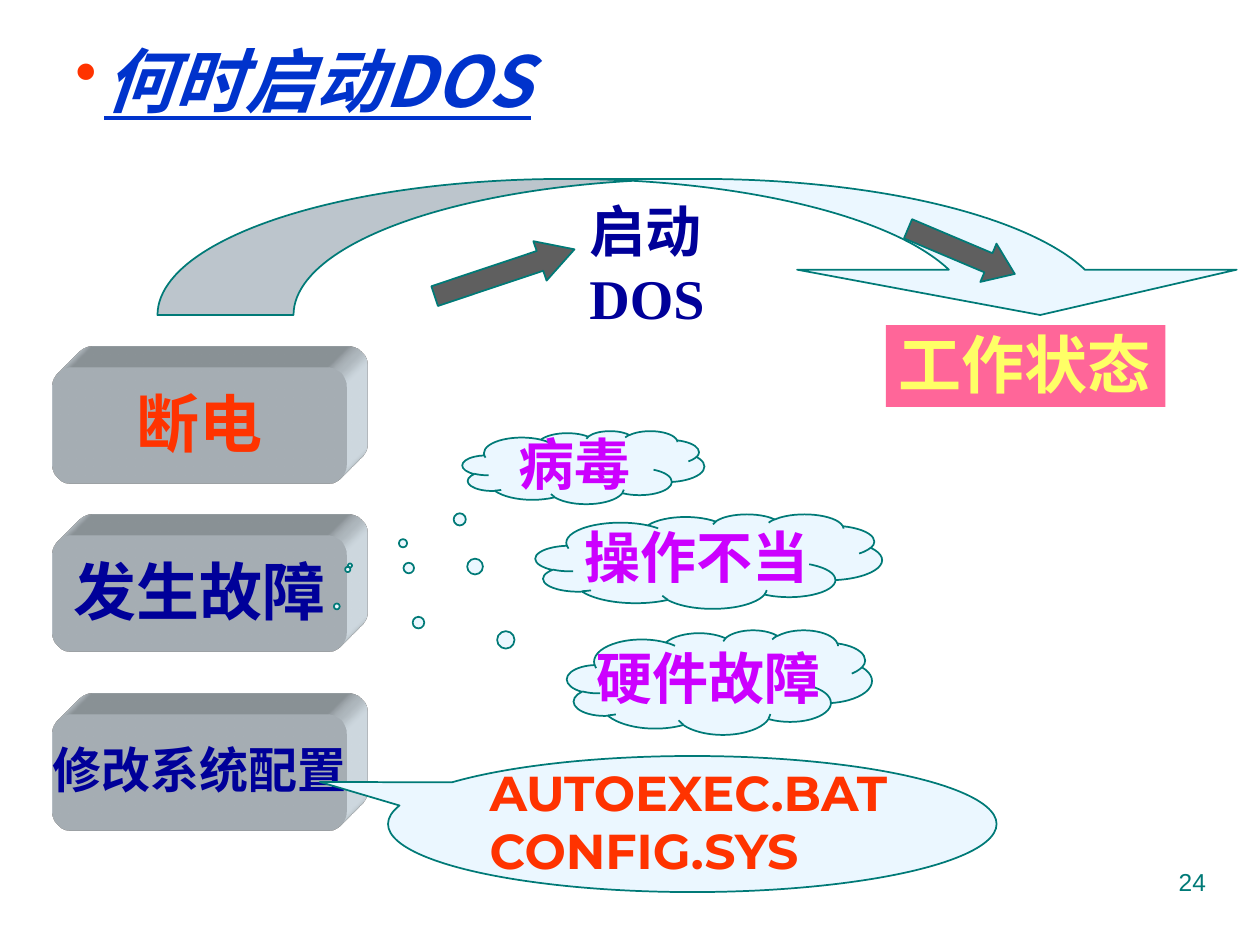
from lxml import etree
from pptx import Presentation
from pptx.dml.color import RGBColor
from pptx.enum.shapes import MSO_SHAPE as Preset
from pptx.enum.text import MSO_ANCHOR as Anchor, PP_ALIGN as Align
from pptx.oxml import parse_xml
from pptx.oxml.ns import nsdecls, qn
from pptx.util import Inches, Pt

PALE = RGBColor(0xEB, 0xF7, 0xFF)
TEAL = RGBColor(0x00, 0x7A, 0x77)
NAVY = RGBColor(0x00, 0x00, 0x99)
BLUE = RGBColor(0x00, 0x33, 0xCC)
RED = RGBColor(0xFF, 0x33, 0x00)
PURPLE = RGBColor(0xCC, 0x00, 0xFF)
PINK = RGBColor(0xFF, 0x66, 0x99)
YELLOW = RGBColor(0xFF, 0xFF, 0x66)
GRAY = RGBColor(0x5F, 0x5F, 0x5F)
SERIF = "Times New Roman"
CJK = "Noto Sans CJK SC"

SCENE = (
    '<a:scene3d {ns}><a:camera prst="legacyObliqueTopRight"/>'
    '<a:lightRig rig="legacyFlat3" dir="b"/></a:scene3d>'
)
EXTRUSION = (
    '<a:sp3d {ns} extrusionH="430200" prstMaterial="legacyMatte">'
    '<a:bevelT w="13500" h="13500" prst="angle"/>'
    '<a:bevelB w="13500" h="13500" prst="angle"/>'
    '<a:extrusionClr><a:srgbClr val="{color}"/></a:extrusionClr></a:sp3d>'
)


def write(holder, text, size=32, color=NAVY, font=SERIF, bold=True, italic=False,
          underline=False, align=Align.LEFT, anchor=Anchor.TOP, top=0, wrap=False):
    frame = holder.text_frame
    frame.word_wrap = wrap
    frame.vertical_anchor = anchor
    frame.margin_top = Inches(top)
    frame.text = text
    for paragraph in frame.paragraphs:
        paragraph.alignment = align
        for run in paragraph.runs:
            style = run.font
            style.size, style.name = Pt(size), font
            style.bold, style.italic, style.underline = bold, italic, underline
            style.color.rgb = color
            east_asian = etree.SubElement(run._r.get_or_add_rPr(), qn("a:ea"))
            east_asian.set("typeface", CJK)
    return frame


def add_label(slide, place, text, **style):
    label = slide.shapes.add_textbox(*map(Inches, place))
    return write(label, text, **style)


def add_figure(slide, preset, place, adjustments=(), fill=PALE, line=TEAL, rotation=0):
    figure = slide.shapes.add_shape(preset, *map(Inches, place))
    figure.shadow.inherit = False
    for index, value in enumerate(adjustments):
        figure.adjustments[index] = value
    figure.fill.solid()
    figure.fill.fore_color.rgb = fill
    if line is None:
        figure.line.fill.background()
    else:
        figure.line.color.rgb = line
        figure.line.width = Pt(1)
    figure.rotation = rotation
    return figure


def add_block(slide, top, text, size=36, color=NAVY):
    block = add_figure(slide, Preset.ROUNDED_RECTANGLE, (0.42, top, 2.33, 0.92), line=None)
    properties = block._element.spPr
    for markup in (SCENE, EXTRUSION):
        properties.append(parse_xml(markup.format(ns=nsdecls("a"), color=PALE)))
    write(block, text, size=size, color=color, align=Align.CENTER, anchor=Anchor.MIDDLE)


def add_cloud(slide, place, tail, text):
    cloud = add_figure(slide, Preset.CLOUD_CALLOUT, place, tail)
    write(cloud, text, color=PURPLE, align=Align.CENTER, anchor=Anchor.MIDDLE)


def add_heading(slide):
    frame = add_label(slide, (0.5, 0.25, 4.08, 0.77), "何时启动DOS", size=40, color=BLUE,
                      font=CJK, italic=True, underline=True, top=0.05)
    properties = frame.paragraphs[0]._p.get_or_add_pPr()
    properties.set("marL", str(Inches(0.23)))
    properties.set("indent", str(-Inches(0.23)))
    color = etree.SubElement(properties, qn("a:buClr"))
    etree.SubElement(color, qn("a:srgbClr")).set("val", str(RED))
    etree.SubElement(properties, qn("a:buSzPct")).set("val", "90000")
    etree.SubElement(properties, qn("a:buChar")).set("char", "•")


def main():
    deck = Presentation()
    deck.slide_width, deck.slide_height = Inches(10), Inches(7.5)
    slide = deck.slides.add_slide(deck.slide_layouts[6])

    add_heading(slide)
    add_figure(slide, Preset.CURVED_DOWN_ARROW, (1.25, 1.42, 8.75, 1.08), (1.615, 3.231, 0.333))
    add_label(slide, (4.58, 1.56, 2.01, 1.1), "启动\vDOS")
    working = add_figure(slide, Preset.RECTANGLE, (7.03, 2.58, 2.22, 0.65), fill=PINK, line=None)
    write(working, "工作状态", size=36, color=YELLOW)

    add_block(slide, 4.25, "发生故障")
    for place, tail, cause in (
        ((3.67, 3.42, 1.92, 0.58), (-0.965, 1.342), "病毒"),
        ((4.25, 4.08, 2.75, 0.75), (-1.042, 0.086), "操作不当"),
        ((4.5, 5, 2.42, 0.83), (-1.255, -0.725), "硬件故障"),
    ):
        add_cloud(slide, place, tail, cause)

    for place, head, rotation in (
        ((3.42, 2, 1.17, 0.33), 0.875, 341.5),
        ((7.17, 1.83, 0.92, 0.33), 0.688, 22.9),
    ):
        add_figure(slide, Preset.RIGHT_ARROW, place, (0.5, head), fill=GRAY, rotation=rotation)

    add_block(slide, 5.67, "修改系统配置", size=28)
    add_block(slide, 2.92, "断电", color=RED)
    files = add_figure(slide, Preset.OVAL_CALLOUT, (3.08, 6, 4.83, 1.08), (-0.612, -0.309))
    write(files, "AUTOEXEC.BAT\nCONFIG.SYS", size=28, color=RED, font="Montserrat",
          anchor=Anchor.MIDDLE)
    add_label(slide, (7.17, 6.83, 2.5, 0.52), "24", size=14, color=TEAL, font="Arial",
              bold=False, align=Align.RIGHT, top=0.05, wrap=True)

    deck.save("out.pptx")


if __name__ == "__main__":
    main()
